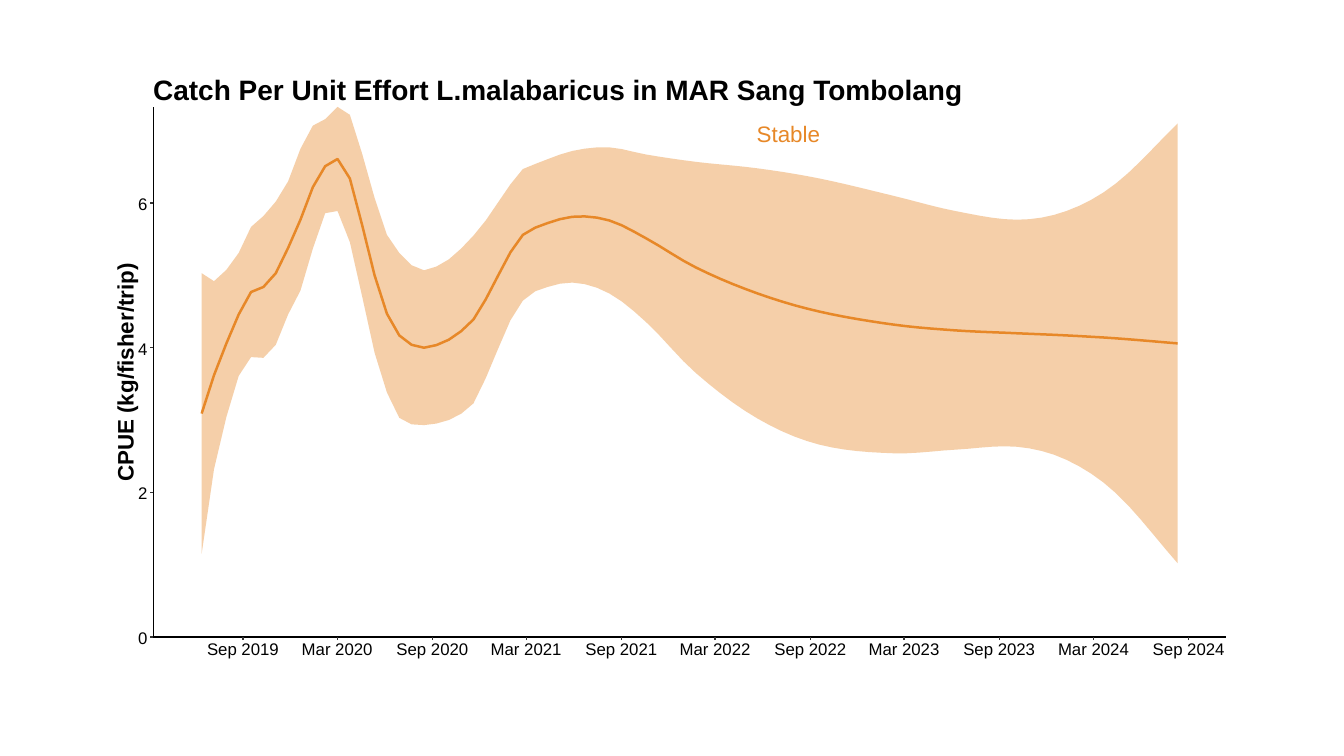
from itertools import accumulate

from lxml.etree import SubElement
from pptx import Presentation
from pptx.dml.color import RGBColor
from pptx.enum.shapes import MSO_CONNECTOR
from pptx.enum.text import MSO_AUTO_SIZE, PP_ALIGN
from pptx.oxml.ns import qn
from pptx.util import Cm, Pt

COLOURS = {"trend": "E78828", "ink": "000000", "tick": "333333"}

AXIS_LEFT, AXIS_RIGHT, AXIS_TOP, AXIS_BOTTOM = 1.52, 12.16, 1.06, 6.32
TICK = 0.03
CPUE_UNIT = 0.7175
CPUE_TICKS = range(0, 8, 2)
FIRST_DATE, LAST_DATE = 2.41, 11.79
YEARS = range(2020, 2025)
CURVE_LEFT, CURVE_RIGHT, CURVE_STEPS = 2.0, 11.68, 79

MEAN_AND_MARGIN = {
    0: (3.09, 1.94), 1: (3.62, 1.3), 3: (4.46, 0.85), 4: (4.77, 0.9),
    5: (4.84, 0.98), 6: (5.03, 0.99), 7: (5.38, 0.92), 8: (5.77, 0.98),
    9: (6.22, 0.85), 10: (6.51, 0.65), 11: (6.61, 0.72), 12: (6.34, 0.88),
    14: (5.0, 1.07), 15: (4.47, 1.09), 16: (4.17, 1.14), 17: (4.04, 1.1),
    18: (4.0, 1.07), 20: (4.11, 1.11), 22: (4.39, 1.16), 23: (4.67, 1.09),
    25: (5.32, 0.94), 26: (5.56, 0.91), 27: (5.66, 0.88), 30: (5.81, 0.91),
    33: (5.76, 1.01), 36: (5.51, 1.16), 40: (5.11, 1.46), 45: (4.75, 1.73),
    50: (4.5, 1.84), 56: (4.32, 1.78), 61: (4.24, 1.65), 66: (4.2, 1.57),
    70: (4.17, 1.72), 74: (4.13, 2.14), 79: (4.06, 3.04),
}


def length(inches):
    return Cm(inches * 2.54)


def cpue_height(cpue):
    return AXIS_BOTTOM - cpue * CPUE_UNIT


def smooth_values(knots, values):
    last = len(knots) - 1

    def slope(index):
        before, after = max(index - 1, 0), min(index + 1, last)
        return (values[after] - values[before]) / (knots[after] - knots[before])

    smoothed = [values[0]]
    for index in range(last):
        span = knots[index + 1] - knots[index]
        rise = values[index + 1] - values[index]
        start_bend = slope(index) * span - rise
        end_bend = rise - slope(index + 1) * span
        for step in range(1, span + 1):
            t = step / span
            bend = t * (1 - t) * (start_bend * (1 - t) + end_bend * t)
            smoothed.append(values[index] + rise * t + bend)
    return smoothed


def write_text(frame, text, size=12, colour="ink", bold=False, align=PP_ALIGN.CENTER):
    frame.word_wrap = False
    frame.auto_size = MSO_AUTO_SIZE.SHAPE_TO_FIT_TEXT
    paragraph = frame.paragraphs[0]
    paragraph.alignment = align
    run = paragraph.add_run()
    run.text = text
    run.font.name = "Arial"
    run.font.size = Pt(size)
    run.font.bold = bold
    run.font.color.rgb = RGBColor.from_string(COLOURS[colour])


class TrendSlide:
    """Draws the elements of a trend plot on one slide, measured in inches."""

    def __init__(self, slide):
        self.shapes = slide.shapes

    def label(self, text, left, top, width, height, rotation=0, **style):
        box = self.shapes.add_textbox(*map(length, (left, top, width, height)))
        box.rotation = rotation
        write_text(box.text_frame, text, **style)

    def line(self, start, end, colour="ink"):
        connector = self.shapes.add_connector(
            MSO_CONNECTOR.STRAIGHT, *map(length, (*start, *end)))
        connector.line.color.rgb = RGBColor.from_string(COLOURS[colour])
        connector.line.width = Pt(0.89)
        SubElement(connector._element.spPr, qn("a:effectLst"))

    def outline(self, points, close):
        corners = [(length(x), length(y)) for x, y in points]
        builder = self.shapes.build_freeform(*corners[0])
        builder.add_line_segments(corners[1:], close=close)
        shape = builder.convert_to_shape()
        shape.shadow.inherit = False
        return shape

    def band(self, points, colour, opacity):
        shape = self.outline(points, close=True)
        shape.line.fill.background()
        shape.fill.solid()
        shape.fill.fore_color.rgb = RGBColor.from_string(COLOURS[colour])
        tint = shape._element.spPr.find(qn("a:solidFill"))[0]
        SubElement(tint, qn("a:alpha"), val=str(opacity * 1000))

    def curve(self, points, colour, width):
        shape = self.outline(points, close=False)
        shape.fill.background()
        shape.line.color.rgb = RGBColor.from_string(COLOURS[colour])
        shape.line.width = Pt(width)

    def trend(self):
        knots = list(MEAN_AND_MARGIN)
        means, margins = (
            smooth_values(knots, values) for values in zip(*MEAN_AND_MARGIN.values()))
        step = (CURVE_RIGHT - CURVE_LEFT) / CURVE_STEPS
        middle, upper, lower = [], [], []
        for index, (mean, margin) in enumerate(zip(means, margins)):
            x = CURVE_LEFT + index * step
            middle.append((x, cpue_height(mean)))
            upper.append((x, cpue_height(mean + margin)))
            lower.append((x, cpue_height(mean - margin)))
        self.band(upper + lower[::-1], "trend", opacity=40)
        self.curve(middle, "trend", width=1.78)

    def value_axis(self):
        self.line((AXIS_LEFT, AXIS_BOTTOM), (AXIS_LEFT, AXIS_TOP))
        for cpue in CPUE_TICKS:
            y = cpue_height(cpue)
            self.label(str(cpue), 1.27, y - 0.14, 0.29, 0.3)
            self.line((AXIS_LEFT - TICK, y), (AXIS_LEFT, y), "tick")

    def date_axis(self):
        self.line((AXIS_LEFT, AXIS_BOTTOM), (AXIS_RIGHT, AXIS_BOTTOM))
        dates = ["Sep 2019"] + [
            f"{month} {year}" for year in YEARS for month in ("Mar", "Sep")]
        days_between = [days for year in YEARS
                        for days in (182 if year % 4 == 0 else 181, 184)]
        elapsed = list(accumulate(days_between, initial=0))
        for date, days in zip(dates, elapsed):
            x = FIRST_DATE + (LAST_DATE - FIRST_DATE) * days / elapsed[-1]
            self.line((x, AXIS_BOTTOM + TICK), (x, AXIS_BOTTOM), "tick")
            self.label(date, x - 0.46, 6.29, 0.92, 0.3)


def main():
    presentation = Presentation()
    presentation.slide_width = length(13.33)
    presentation.slide_height = length(7.5)
    plot = TrendSlide(presentation.slides.add_slide(presentation.slide_layouts[6]))

    plot.trend()
    plot.label("Stable", 7.4, 1.14, 0.84, 0.37, size=16, colour="trend")
    plot.value_axis()
    plot.date_axis()
    plot.label("CPUE (kg/fisher/trip)", 0.04, 3.51, 2.4, 0.37,
               rotation=270, size=16, bold=True)
    plot.label("Catch Per Unit Effort L.malabaricus in MAR Sang Tombolang",
               1.42, 0.67, 8.3, 0.44, size=20, bold=True, align=PP_ALIGN.LEFT)
    presentation.save("out.pptx")


if __name__ == "__main__":
    main()
